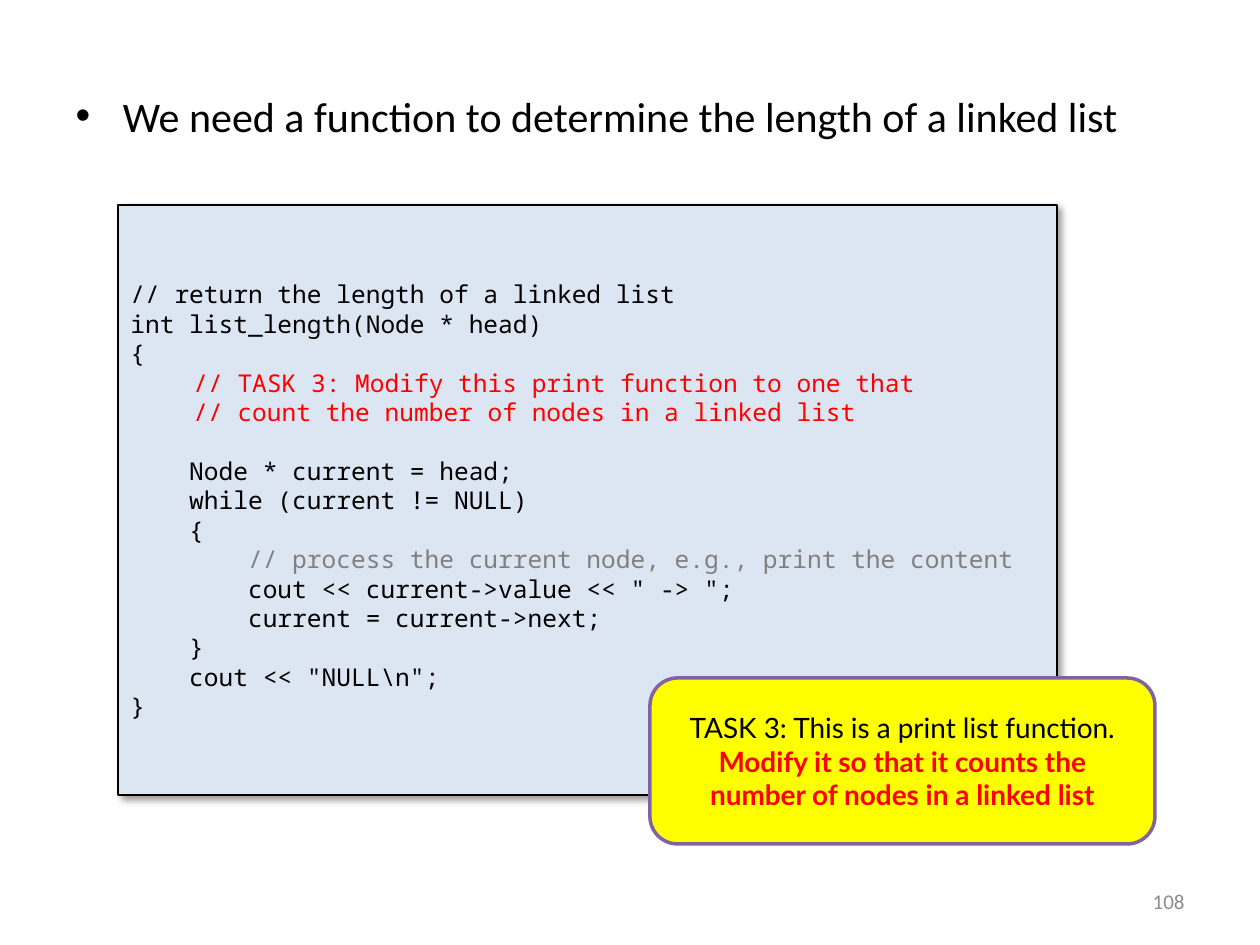
"""Build the slide that asks for a linked list length function."""
import pptx
import pptx.dml.color
import pptx.enum.shapes
import pptx.enum.text
import pptx.oxml
import pptx.oxml.ns
import pptx.util

RGB = pptx.dml.color.RGBColor
SHAPE = pptx.enum.shapes.MSO_SHAPE
ALIGN = pptx.enum.text.PP_ALIGN
ANCHOR = pptx.enum.text.MSO_ANCHOR

BLACK = RGB(0x00, 0x00, 0x00)
RED = RGB(0xFF, 0x00, 0x00)
GREY = RGB(0x80, 0x80, 0x80)
NUMBER_GREY = RGB(0x8B, 0x8B, 0x8B)
PALE_BLUE = RGB(0xDC, 0xE6, 0xF2)
YELLOW = RGB(0xFF, 0xFF, 0x00)
PURPLE = RGB(0x80, 0x64, 0xA2)

PX_PER_INCH = 126
BODY_FONT, CODE_FONT, CALLOUT_FONT = "Calibri", "Noto Sans Mono", "Lato"
CODE_SIZE, CODE_LINE = 14, 16.8

CODE_BLOCKS = [
    [
        ("// return the length of a linked list", BLACK),
        ("int list_length(Node * head)", BLACK),
        ("{", BLACK),
        ("\t// TASK 3: Modify this print function to one that", RED),
        ("\t// count the number of nodes in a linked list", RED),
    ],
    [
        ("    Node * current = head;", BLACK),
        ("    while (current != NULL)", BLACK),
        ("    {", BLACK),
        ("        // process the current node, e.g., print the content", GREY),
        ('        cout << current->value << " -> ";', BLACK),
        ("        current = current->next;", BLACK),
        ("    }", BLACK),
        ('    cout << "NULL\\n";', BLACK),
        ("}", BLACK),
    ],
]


def px(length):
    """Turn pixels into EMU."""
    return pptx.util.Emu(round(length * 914400 / PX_PER_INCH))


class SlideBuilder:
    """Hold the current slide and the style of its elements."""

    def __init__(self, deck):
        """Add a slide with only its body placeholder."""
        self.slide = deck.slides.add_slide(deck.slide_layouts[1])
        unused_title = self.slide.shapes.title.element
        unused_title.getparent().remove(unused_title)

    def add_runs(self, paragraph, runs, font, size, align=ALIGN.LEFT):
        """Add runs of (text, colour, bold) to a paragraph."""
        paragraph.alignment = align
        for text, colour, *bold in runs:
            run = paragraph.add_run()
            run.text = text
            run.font.name = font
            run.font.size = pptx.util.Pt(size)
            run.font.color.rgb = colour
            run.font.bold = bool(bold and bold[0])

    def body(self, box, text):
        """Place the bulleted body text."""
        body = self.slide.placeholders[1]
        body.left, body.top, body.width, body.height = map(px, box)
        body.text_frame.auto_size = pptx.enum.text.MSO_AUTO_SIZE.NONE
        point = body.text_frame.paragraphs[0]
        point.space_before = pptx.util.Pt(0)
        self.add_runs(point, [(text, BLACK)], BODY_FONT, 24)

    def page_number(self, box, text):
        """Place the page number at the right of its box."""
        frame = self.slide.shapes.add_textbox(*map(px, box)).text_frame
        frame.word_wrap = True
        frame.vertical_anchor = ANCHOR.MIDDLE
        self.add_runs(frame.paragraphs[0], [(text, NUMBER_GREY)], BODY_FONT, 12, ALIGN.RIGHT)

    def panel(self, kind, box, fill, line, weight):
        """Add a filled and outlined shape without a shadow."""
        panel = self.slide.shapes.add_shape(kind, *map(px, box))
        panel.shadow.inherit = False
        panel.fill.solid()
        panel.fill.fore_color.rgb = fill
        panel.line.color.rgb = line
        panel.line.width = pptx.util.Pt(weight)
        panel.text_frame.word_wrap = True
        panel.text_frame.vertical_anchor = ANCHOR.MIDDLE
        return panel

    def drop_shadow(self, panel):
        """Give a panel a soft shadow to its lower right."""
        effects = panel.element.spPr.find(pptx.oxml.ns.qn("a:effectLst"))
        effects.append(pptx.oxml.parse_xml(
            f'<a:outerShdw {pptx.oxml.ns.nsdecls("a")} blurRad="{pptx.util.Pt(4)}" '
            f'dist="{pptx.util.Pt(3)}" dir="{45 * 60000}" algn="tl" rotWithShape="0">'
            f'<a:srgbClr val="{BLACK}"><a:alpha val="40000"/></a:srgbClr></a:outerShdw>'))

    def code(self, box, blocks):
        """Add a code panel with one line's gap between blocks."""
        panel = self.panel(SHAPE.RECTANGLE, box, PALE_BLUE, BLACK, 0.75)
        self.drop_shadow(panel)
        frame = panel.text_frame
        for block_index, block in enumerate(blocks):
            for line_index, code_line in enumerate(block):
                first = block_index == line_index == 0
                line = frame.paragraphs[0] if first else frame.add_paragraph()
                if block_index and not line_index:
                    line.space_before = pptx.util.Pt(CODE_LINE)
                self.add_runs(line, [code_line], CODE_FONT, CODE_SIZE)

    def callout(self, box, runs):
        """Add a rounded callout with centred text."""
        panel = self.panel(SHAPE.ROUNDED_RECTANGLE, box, YELLOW, PURPLE, 2)
        self.add_runs(panel.text_frame.paragraphs[0], runs, CALLOUT_FONT, 16, ALIGN.CENTER)


def main():
    """Build and save the deck."""
    deck = pptx.Presentation()
    deck.slide_width, deck.slide_height = px(1260), px(945)
    builder = SlideBuilder(deck)
    builder.body((63, 84, 1134, 760),
                 "We need a function to determine the length of a linked list")
    builder.page_number((903, 876, 294, 50), "108")
    builder.code((118, 205, 939, 590), CODE_BLOCKS)
    builder.callout((650, 678, 505, 166), [
        ("TASK 3: This is a print list function. ", BLACK),
        ("Modify it so that it counts the number of nodes in a linked list", RED, True),
    ])
    deck.save("out.pptx")


if __name__ == "__main__":
    main()
